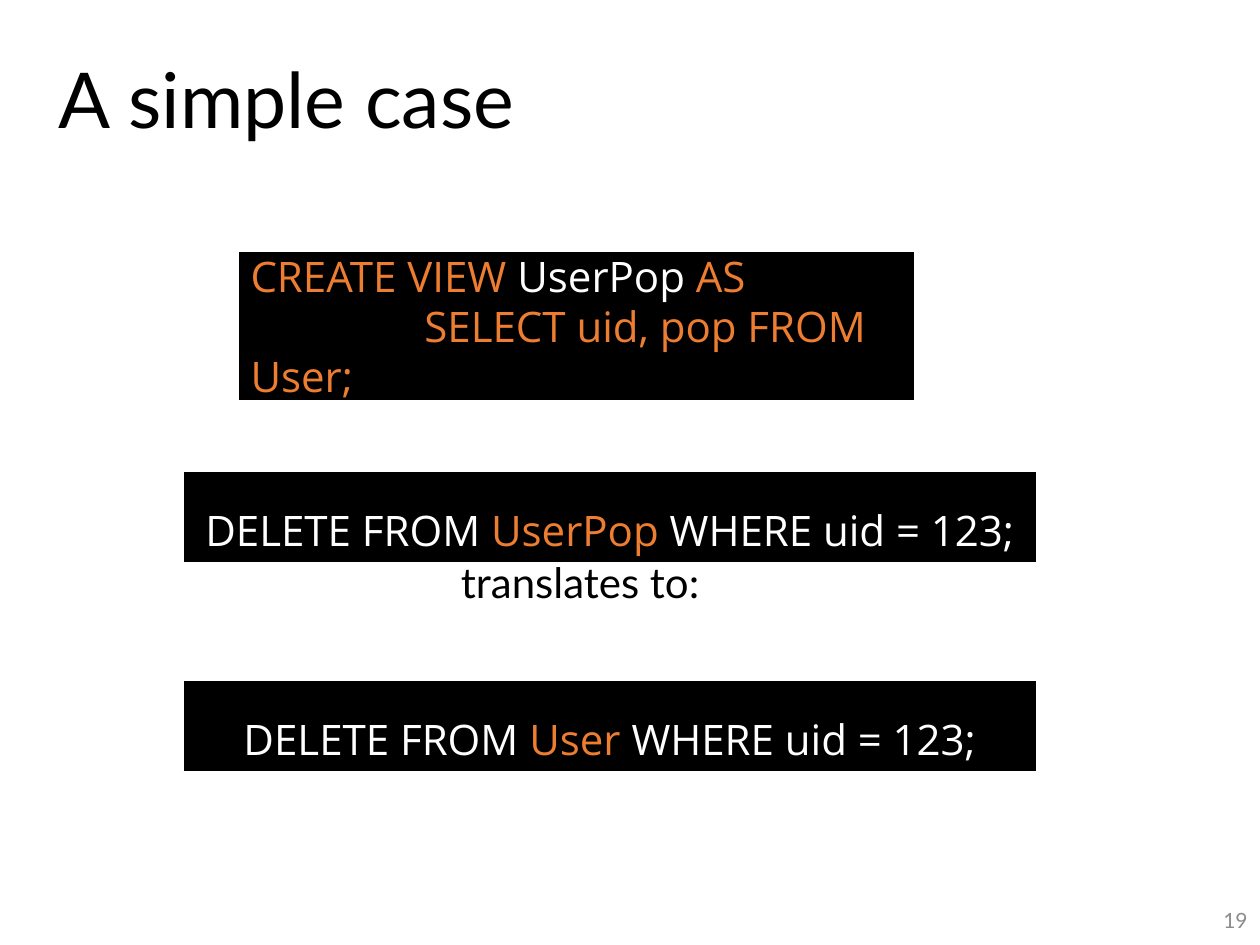
from dataclasses import dataclass

from pptx import Presentation
from pptx.dml.color import RGBColor
from pptx.enum.shapes import MSO_SHAPE
from pptx.enum.text import MSO_ANCHOR, PP_ALIGN
from pptx.util import Inches, Pt

BLACK = RGBColor(0x00, 0x00, 0x00)
WHITE = RGBColor(0xFF, 0xFF, 0xFF)
ORANGE = RGBColor(0xED, 0x7D, 0x31)
GRAY = RGBColor(0x8C, 0x8C, 0x8C)


@dataclass
class Label:
    text: str
    box: tuple[float, float, float, float]
    size: int = 24
    color: RGBColor = BLACK
    align: PP_ALIGN = PP_ALIGN.LEFT
    anchor: MSO_ANCHOR = MSO_ANCHOR.MIDDLE
    spacing: float = 1.0


@dataclass
class CodeBox:
    lines: list[list[tuple[str, RGBColor]]]
    box: tuple[float, float, float, float]
    align: PP_ALIGN = PP_ALIGN.CENTER
    spacing: float = 1.5
    continuation_indent: float = 0


def style_run(run, font_name: str, size: int, color: RGBColor) -> None:
    run.font.name = font_name
    run.font.size = Pt(size)
    run.font.color.rgb = color


def draw_label(slide, label: Label) -> None:
    frame = slide.shapes.add_textbox(*map(Inches, label.box)).text_frame
    frame.word_wrap = True
    frame.vertical_anchor = label.anchor
    frame.text = label.text
    paragraph = frame.paragraphs[0]
    paragraph.alignment = label.align
    paragraph.line_spacing = label.spacing
    style_run(paragraph.runs[0], "Lato", label.size, label.color)


def draw_code(slide, code: CodeBox) -> None:
    panel = slide.shapes.add_shape(MSO_SHAPE.RECTANGLE, *map(Inches, code.box))
    panel.shadow.inherit = False
    panel.fill.solid()
    panel.fill.fore_color.rgb = BLACK
    panel.line.color.rgb = WHITE
    panel.line.width = Pt(1)
    frame = panel.text_frame
    frame.word_wrap = True
    frame.vertical_anchor = MSO_ANCHOR.MIDDLE
    for number, line in enumerate(code.lines):
        paragraph = frame.add_paragraph() if number else frame.paragraphs[0]
        paragraph.alignment = code.align
        paragraph.line_spacing = code.spacing
        if number and code.continuation_indent:
            # First-line indent only, so a wrapped line returns to the margin
            properties = paragraph._p.get_or_add_pPr()
            properties.set("marL", "0")
            properties.set("indent", str(Inches(code.continuation_indent)))
        for text, color in line:
            run = paragraph.add_run()
            run.text = text
            style_run(run, "Open Sans", 24, color)


def delete_statement(view: str, top: float) -> CodeBox:
    statement = [("DELETE FROM ", WHITE), (view, ORANGE), (" WHERE uid = 123;", WHITE)]
    return CodeBox([statement], (1.45, top, 6.78, 0.73))


def main() -> None:
    presentation = Presentation()
    presentation.slide_width = Inches(10)
    presentation.slide_height = Inches(7.5)
    slide = presentation.slides.add_slide(presentation.slide_layouts[6])

    # Title and page number
    draw_label(slide, Label("A simple case", (0.37, 0.18, 9.63, 1.29), 44, spacing=0.9))
    draw_label(slide, Label("19", (7.75, 7.1, 2.25, 0.4), 12, GRAY, PP_ALIGN.RIGHT))

    # View definition
    view_definition = [
        [("CREATE VIEW ", ORANGE), ("UserPop", WHITE), (" AS", ORANGE)],
        [("SELECT uid, pop FROM User;", ORANGE)],
    ]
    draw_code(slide, CodeBox(view_definition, (1.89, 1.99, 5.37, 1.19),
                             PP_ALIGN.LEFT, 1.0, continuation_indent=1.38))

    # Deletion on the view and its translation
    for view, top in (("UserPop", 3.74), ("User", 5.4)):
        draw_code(slide, delete_statement(view, top))
    draw_label(slide, Label("translates to:", (3.56, 4.37, 2.27, 0.5), anchor=MSO_ANCHOR.TOP))

    presentation.save("out.pptx")


if __name__ == "__main__":
    main()
